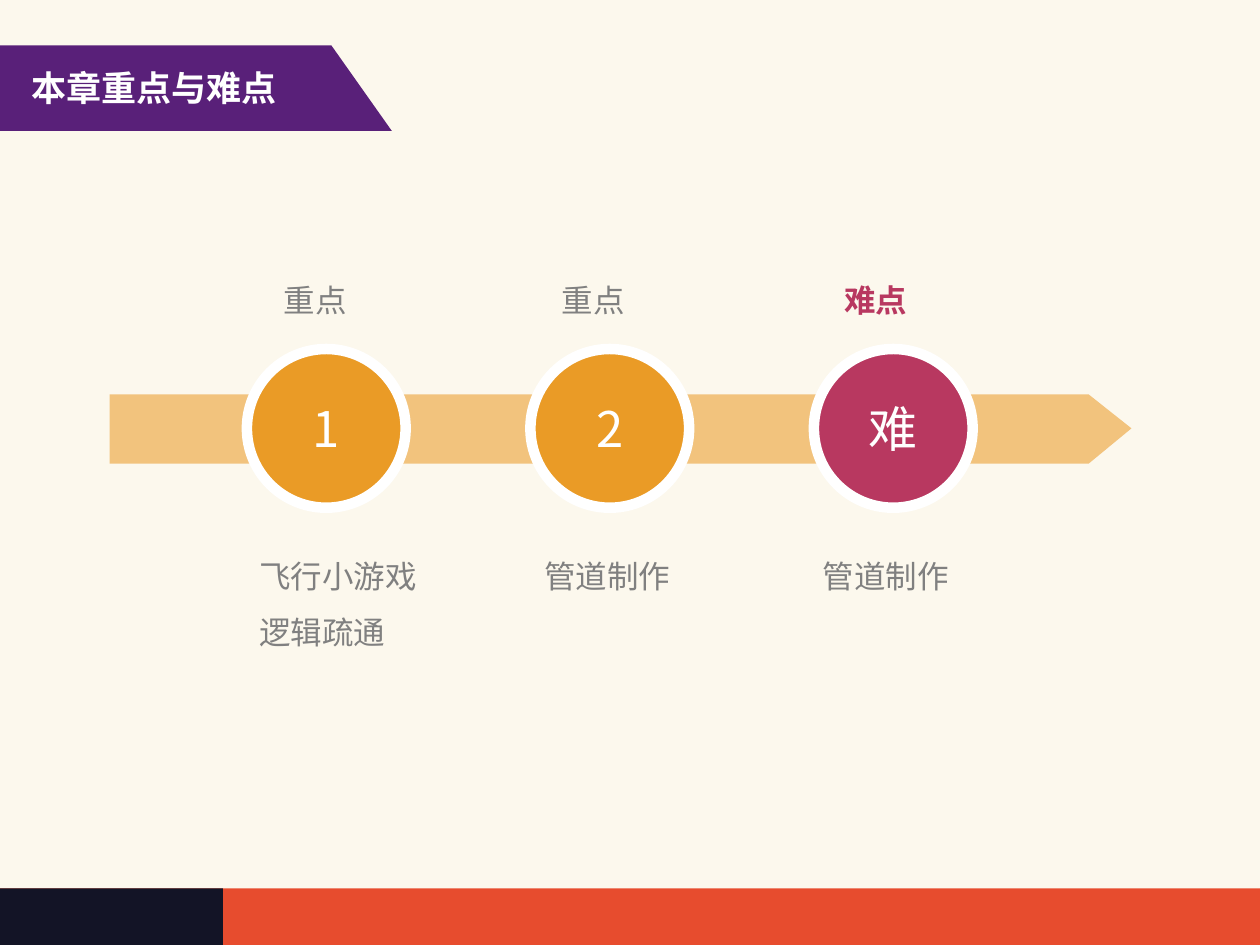
"""Build the chapter key-points slide with a three-step arrow."""
from lxml import etree
from pptx import Presentation
from pptx.dml.color import RGBColor
from pptx.enum.shapes import MSO_SHAPE
from pptx.enum.text import MSO_ANCHOR, PP_ALIGN
from pptx.oxml.ns import qn
from pptx.util import Inches, Pt

RECTANGLE, OVAL = MSO_SHAPE.RECTANGLE, MSO_SHAPE.OVAL
TOP, MIDDLE = MSO_ANCHOR.TOP, MSO_ANCHOR.MIDDLE
LEFT, CENTER = PP_ALIGN.LEFT, PP_ALIGN.CENTER

FONT = "Noto Sans CJK SC"
CREAM, RED, NAVY, PURPLE = "FCF8ED", "E74C2E", "131426", "592079"
SAND, ORANGE, CRIMSON, WHITE, GRAY = "F2C37D", "EA9B26", "B83860", "FFFFFF", "808080"

TITLE = "本章重点与难点"
FOOTER_BARS = [(10, RED), (1.77, NAVY)]
BANNER = [(0, 0.36), (2.63, 0.36), (3.11, 1.04), (0, 1.04)]
ARROW = [(0.87, 3.13), (8.64, 3.13), (8.98, 3.4), (8.64, 3.68), (0.87, 3.68)]
STEPS = [
    {"mark": "1", "fill": ORANGE, "label": "重点", "label_color": GRAY, "label_left": 2.2,
     "details": ["飞行小游戏", "逻辑疏通"], "details_box": (2.01, 4.22, 1.43, 0.97)},
    {"mark": "2", "fill": ORANGE, "label": "重点", "label_color": GRAY, "label_left": 4.41,
     "details": ["管道制作"], "details_box": (4.27, 4.22, 1.11, 0.45)},
    {"mark": "难", "fill": CRIMSON, "label": "难点", "label_color": CRIMSON, "label_left": 6.65,
     "details": ["管道制作"], "details_box": (6.48, 4.22, 1.11, 0.45)},
]
CIRCLE_LEFT, CIRCLE_TOP, CIRCLE_SIZE, CIRCLE_STEP = 1.96, 2.77, 1.26, 2.25
MARK_WIDTH, MARK_HEIGHT = 0.89, 0.57


def color(hex_string):
    return RGBColor.from_string(hex_string)


def paint(shape, fill):
    shape.shadow.inherit = False
    shape.fill.solid()
    shape.fill.fore_color.rgb = color(fill)
    shape.line.fill.background()


def add_preset(slide, kind, box, fill):
    shape = slide.shapes.add_shape(kind, *map(Inches, box))
    paint(shape, fill)
    return shape


def add_outline(slide, points, fill):
    corners = [(Inches(x), Inches(y)) for x, y in points]
    builder = slide.shapes.build_freeform(*corners[0])
    builder.add_line_segments(corners[1:], close=True)
    paint(builder.convert_to_shape(), fill)


def write(shape, lines, size, text_color, bold=False, align=LEFT, anchor=TOP,
          wrap=True, spacing=1.0):
    frame = shape.text_frame
    frame.margin_left = frame.margin_right = Inches(0.05)
    frame.margin_top = frame.margin_bottom = Inches(0.05)
    frame.word_wrap = wrap
    frame.vertical_anchor = anchor
    frame.text = "\n".join(lines)
    for paragraph in frame.paragraphs:
        paragraph.alignment = align
        paragraph.line_spacing = spacing
        font = paragraph.font
        font.name, font.size, font.bold = FONT, Pt(size), bold
        font.color.rgb = color(text_color)
        defaults = paragraph._p.pPr.find(qn("a:defRPr"))
        etree.SubElement(defaults, qn("a:ea")).set("typeface", FONT)


def add_text(slide, box, lines, size, text_color, **options):
    write(slide.shapes.add_textbox(*map(Inches, box)), lines, size, text_color, **options)


def add_title(slide):
    title = slide.shapes.title
    title.left, title.top, title.width, title.height = map(Inches, (0.2, 0.48, 2.59, 0.49))
    write(title, [TITLE], 20, WHITE, bold=True)
    slide.shapes._spTree.append(title._element)


def add_step(slide, index, step):
    left = CIRCLE_LEFT + index * CIRCLE_STEP
    circle = add_preset(slide, OVAL, (left, CIRCLE_TOP, CIRCLE_SIZE, CIRCLE_SIZE), step["fill"])
    circle.line.color.rgb = color(WHITE)
    circle.line.width = Pt(6)
    mark_box = (left + (CIRCLE_SIZE - MARK_WIDTH) / 2,
                CIRCLE_TOP + (CIRCLE_SIZE - MARK_HEIGHT) / 2, MARK_WIDTH, MARK_HEIGHT)
    add_text(slide, mark_box, [step["mark"]], 28, WHITE, align=CENTER, anchor=MIDDLE)
    add_text(slide, (step["label_left"], 2.18, 0.61, 0.45), [step["label"]], 18,
             step["label_color"], bold=step["label_color"] == CRIMSON, wrap=False)
    add_text(slide, step["details_box"], step["details"], 18, GRAY, wrap=False, spacing=1.5)


def main():
    presentation = Presentation()
    presentation.slide_width, presentation.slide_height = Inches(10), Inches(7.5)
    slide = presentation.slides.add_slide(presentation.slide_layouts[5])
    slide.background.fill.solid()
    slide.background.fill.fore_color.rgb = color(CREAM)
    for width, fill in FOOTER_BARS:
        add_preset(slide, RECTANGLE, (0, 7.05, width, 0.45), fill)
    add_outline(slide, BANNER, PURPLE)
    add_title(slide)
    add_outline(slide, ARROW, SAND)
    for index, step in enumerate(STEPS):
        add_step(slide, index, step)
    presentation.save("out.pptx")


if __name__ == "__main__":
    main()
